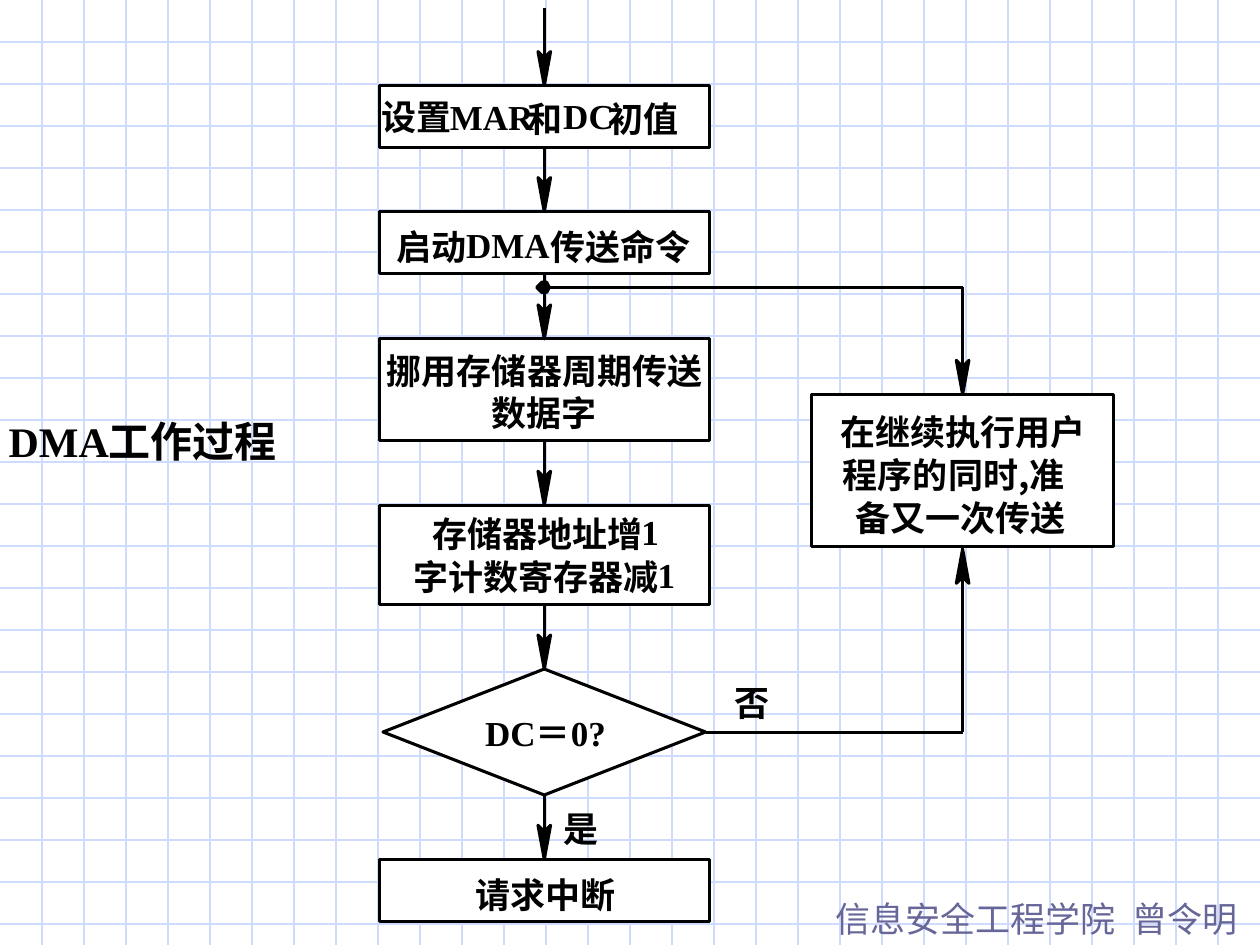
from dataclasses import dataclass

from lxml import etree
from pptx import Presentation
from pptx import util as u
from pptx.dml.color import RGBColor
from pptx.enum import shapes, text
from pptx.oxml.ns import qn


@dataclass(frozen=True)
class Theme:
    """Colours, fonts and sizes of the slide."""
    ink: str = "000000"
    paper: str = "FFFFFF"
    grid: str = "CFDBFD"
    credit: str = "666699"
    latin: str = "Times New Roman"
    chinese: str = "Noto Sans CJK SC"
    footer: str = "Noto Sans CJK JP"
    body: int = 20
    title: int = 24
    line: float = 1.75
    hairline: float = 0.75


class Flowchart:
    """Draws flowchart elements on one slide in one style."""

    def __init__(self, page, theme):
        """Keep the slide and its style."""
        self.page, self.theme = page, theme

    def outline(self, shape, fill):
        """Give a shape a fill and a black outline without shadow."""
        shape.shadow.inherit = False
        shape.fill.solid()
        shape.fill.fore_color.rgb = RGBColor.from_string(fill)
        shape.line.color.rgb = RGBColor.from_string(self.theme.ink)
        shape.line.width = u.Pt(self.theme.line)
        return shape

    def node(self, left, top, width, height, kind=shapes.MSO_SHAPE.RECTANGLE):
        """Add a white flowchart node."""
        frame = map(u.Inches, (left, top, width, height))
        return self.outline(self.page.shapes.add_shape(kind, *frame), self.theme.paper)

    def polygon(self, points):
        """Add a closed black outline through the points."""
        first, *rest = [(u.Inches(x), u.Inches(y)) for x, y in points]
        builder = self.page.shapes.build_freeform(*first)
        builder.add_line_segments(rest, close=True)
        return self.outline(builder.convert_to_shape(), self.theme.ink)

    def head(self, x, tip, direction=1):
        """Add a notched arrowhead, down for 1 and up for -1."""
        back, notch = tip - 0.27 * direction, tip - 0.22 * direction
        self.polygon([(x + 0.05, back), (x, notch), (x - 0.05, back), (x, tip)])

    def line(self, start, end, color=None, width=None, source=None, target=None):
        """Add a straight line, joined to (shape, site) pairs when given."""
        ends = map(u.Inches, (*start, *end))
        line = self.page.shapes.add_connector(shapes.MSO_CONNECTOR.STRAIGHT, *ends)
        line.line.color.rgb = RGBColor.from_string(color or self.theme.ink)
        line.line.width = u.Pt(width or self.theme.line)
        etree.SubElement(line._element.spPr, qn("a:effectLst"))
        if source:
            line.begin_connect(*source)
        if target:
            line.end_connect(*target)
        return line

    def label(self, words, left, top, width, font=None, size=None, color=None,
              bold=True, margins=(0, 0), wrap=False, tab=None):
        """Add one line of text."""
        size = size or self.theme.body
        height = size / 60 + 2 * margins[1]
        box = self.page.shapes.add_textbox(*map(u.Inches, (left, top, width, height)))
        frame = box.text_frame
        frame.margin_left = frame.margin_right = u.Inches(margins[0])
        frame.margin_top = frame.margin_bottom = u.Inches(margins[1])
        frame.word_wrap = wrap
        frame.auto_size = text.MSO_AUTO_SIZE.SHAPE_TO_FIT_TEXT
        para = frame.paragraphs[0]
        para.text = words
        if tab:
            stops = etree.SubElement(para._p.get_or_add_pPr(), qn("a:tabLst"))
            etree.SubElement(stops, qn("a:tab"), pos=str(u.Inches(tab)), algn="l")
        style = para.font
        style.size, style.bold = u.Pt(size), bold
        style.name = font or self.theme.chinese
        style.color.rgb = RGBColor.from_string(color or self.theme.ink)
        east = self.theme.chinese if style.name == self.theme.latin else style.name
        etree.SubElement(style._element, qn("a:ea"), typeface=east)

    def grid(self, width, height, step):
        """Rule the page in squares."""
        style = self.theme.grid, self.theme.hairline
        for row in range(1, int(height / step) + 1):
            self.line((0, row * step), (width, row * step), *style)
        for column in range(1, round(width / step)):
            self.line((column * step, 0), (column * step, height), *style)


def main():
    """Build the DMA flowchart slide."""
    deck = Presentation()
    deck.slide_width, deck.slide_height = u.Inches(10), u.Inches(7.5)
    theme = Theme()
    chart = Flowchart(deck.slides.add_slide(deck.slide_layouts[6]), theme)
    axis, side, half = 4.32, 7.64, 1.31
    branch, decision = 2.28, 5.81

    chart.grid(10, 7.5, 1 / 3)
    chart.label("信息安全工程学院\t曾令明", 6.53, 7.07, 3.47, theme.footer, color=theme.credit,
                bold=False, margins=(0.1, 0.05), wrap=True, tab=2.36)
    chart.label("DMA工作过程", -0.03, 3.25, 2.48, theme.latin, theme.title, margins=(0.1, 0.05))

    rows = [(0.68, 0.49), (1.68, 0.49), (2.69, 0.81), (4.01, 0.79), (5.31, 1), (6.82, 0.49)]
    steps = []
    for index, (top, height) in enumerate(rows):
        if index == 4:
            step = chart.node(axis - 1.28, top, 2.56, height, shapes.MSO_SHAPE.DIAMOND)
        else:
            step = chart.node(axis - half, top, 2 * half, height)
        source = (steps[-1], 2) if steps else None
        start = sum(rows[index - 1]) if steps else 0.06
        chart.line((axis, start), (axis, top), source=source, target=(step, 0))
        chart.head(axis, top)
        steps.append(step)

    task = chart.node(side - 1.2, 3.13, 2.4, 1.21)
    chart.line((axis, branch), (side, branch))
    chart.line((side, branch), (side, 3.13), target=(task, 0))
    chart.head(side, 3.13)
    chart.polygon([(4.26, 2.28), (4.3, 2.24), (4.34, 2.24), (4.36, 2.28), (4.34, 2.32), (4.3, 2.32)])
    chart.line((5.6, decision), (side, decision), source=(steps[4], 3))
    chart.line((side, decision), (side, 4.34), target=(task, 2))
    chart.head(side, 4.36, -1)

    chinese = [
        ("设置", 3.03, 0.76), ("和", 4.19, 0.77), ("初值", 4.83, 0.77),
        ("启动", 3.15, 1.79), ("传送命令", 4.37, 1.79),
        ("挪用存储器周期传送", 3.07, 2.77), ("数据字", 3.9, 3.11),
        ("存储器地址增", 3.43, 4.07), ("字计数寄存器减", 3.28, 4.41),
        ("请求中断", 3.77, 6.93), ("否", 5.83, 5.41), ("是", 4.47, 6.41),
        ("在继续执行用户", 6.67, 3.26), ("程序的同时,准", 6.69, 3.6), ("备又一次传送", 6.79, 3.94),
    ]
    for words, left, top in chinese:
        chart.label(words, left, top, 0.28 * len(words))
    latin = [
        ("MAR", 3.57, 0.76, 0.7), ("DC", 4.47, 0.75, 0.45), ("DMA", 3.7, 1.77, 0.7),
        ("1", 5.09, 4.05, 0.16), ("1", 5.22, 4.39, 0.16), ("DC＝0?", 3.85, 5.65, 1.25),
    ]
    for words, left, top, width in latin:
        chart.label(words, left, top, width, theme.latin)

    deck.save("out.pptx")


if __name__ == "__main__":
    main()
